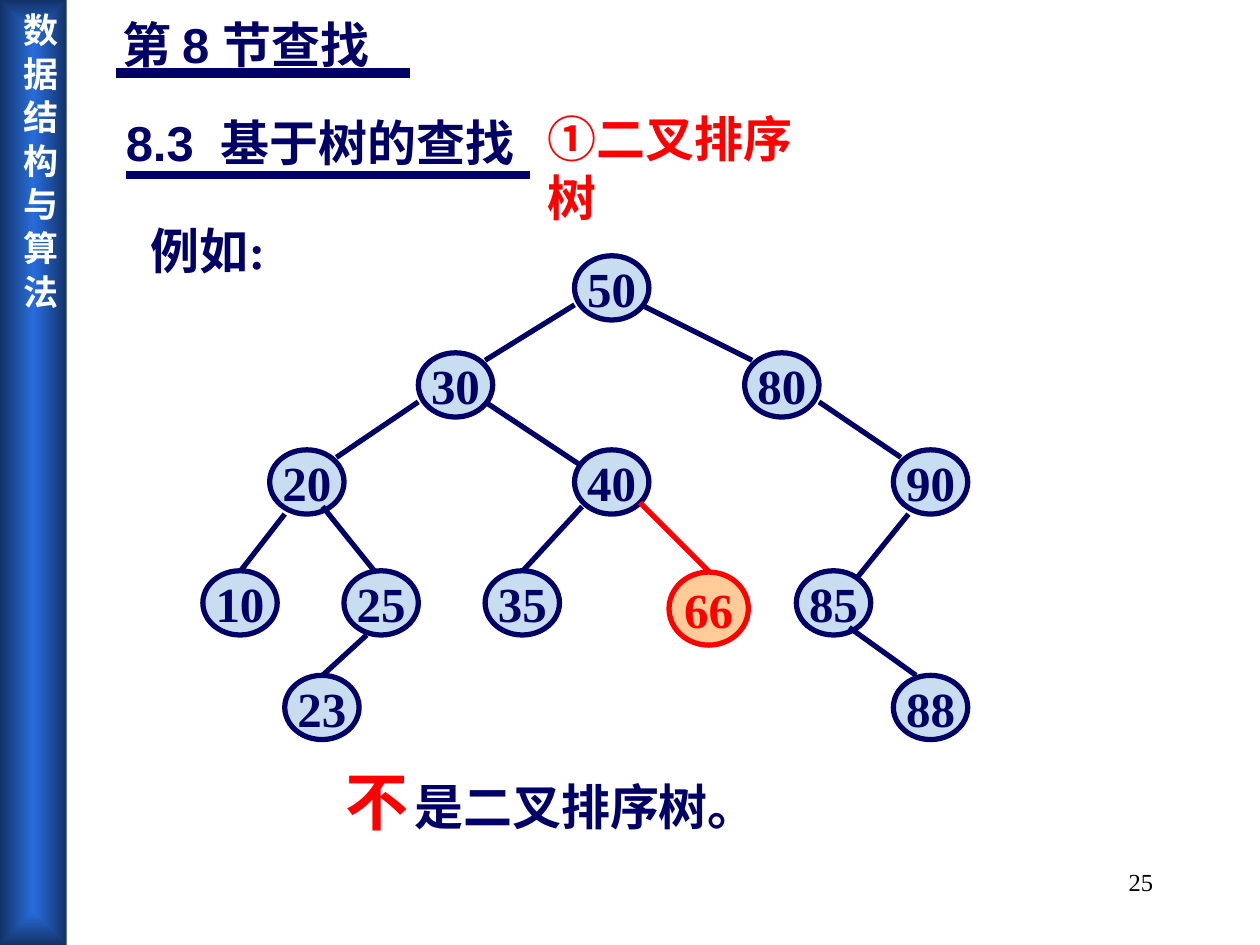
from typing import NamedTuple

from lxml.etree import SubElement
from pptx import Presentation
from pptx.dml.color import RGBColor
from pptx.enum.shapes import MSO_CONNECTOR as Connector, MSO_SHAPE as Shape
from pptx.enum.text import MSO_ANCHOR as Anchor, PP_ALIGN as Align
from pptx.oxml.ns import qn
from pptx.util import Inches, Pt

COLORS = {
    "navy": "000066", "red": "FF0000", "node": "C9DDF1", "peach": "FFCC99",
    "white": "FFFFFF", "black": "000000", "bar": "286DDC", "bar_edge": "133266",
}
SERIF, SANS, CHINESE = "Times New Roman", "Arial", "Noto Sans CJK SC"


class Run(NamedTuple):
    text: str
    font: str = SERIF
    size: float = 28
    color: str = "navy"
    bold: bool = True


class Label(NamedTuple):
    left: float
    top: float
    width: float
    height: float
    runs: list[Run]
    align: Align = Align.LEFT


class Node(NamedTuple):
    key: int
    left: float
    top: float
    width: float = 0.59
    height: float = 0.51
    fill: str = "node"
    ink: str = "navy"


class Line(NamedTuple):
    x1: float
    y1: float
    x2: float
    y2: float
    color: str = "navy"
    weight: float = 3


def rgb(name: str) -> RGBColor:
    return RGBColor.from_string(COLORS[name])


def write(frame, runs: list[Run], align: Align) -> None:
    paragraph = frame.paragraphs[0]
    paragraph.alignment = align
    for item in runs:
        run = paragraph.add_run()
        run.text = item.text
        formats = {"name": item.font, "size": Pt(item.size), "bold": item.bold}
        for attribute, value in formats.items():
            setattr(run.font, attribute, value)
        run.font.color.rgb = rgb(item.color)
        # East Asian glyphs need their own typeface
        SubElement(run.font._element, qn("a:ea"), typeface=CHINESE)


def add_label(slide, label: Label) -> None:
    box = slide.shapes.add_textbox(*map(Inches, label[:4]))
    box.text_frame.word_wrap = True
    write(box.text_frame, label.runs, label.align)


def add_node(slide, node: Node) -> None:
    shape = slide.shapes.add_shape(Shape.OVAL, *map(Inches, node[1:5]))
    shape.shadow.inherit = False
    shape.fill.solid()
    shape.fill.fore_color.rgb = rgb(node.fill)
    shape.line.color.rgb = rgb(node.ink)
    shape.line.width = Pt(3)
    shape.text_frame.word_wrap = False
    shape.text_frame.vertical_anchor = Anchor.MIDDLE
    write(shape.text_frame, [Run(str(node.key), color=node.ink)], Align.CENTER)


def add_line(slide, line: Line) -> None:
    connector = slide.shapes.add_connector(
        Connector.STRAIGHT, *map(Inches, line[:4]))
    connector.line.color.rgb = rgb(line.color)
    connector.line.width = Pt(line.weight)
    SubElement(connector._element.spPr, qn("a:effectLst"))


def add_sidebar(slide) -> None:
    bar = slide.shapes.add_shape(
        Shape.RECTANGLE, 0, 0, Inches(0.53), Inches(7.5))
    bar.shadow.inherit = False
    bar.line.fill.background()
    bar.fill.gradient()
    for stop, color in zip(bar.fill.gradient_stops, ("bar", "bar_edge")):
        stop.color.rgb = rgb(color)
    # Rectangular gradient spreading from the centre
    gradient = bar._element.spPr.find(qn("a:gradFill"))
    gradient.remove(gradient.find(qn("a:lin")))
    shading = SubElement(gradient, qn("a:path"), path="rect")
    SubElement(shading, qn("a:fillToRect"),
               dict.fromkeys("ltrb", "50000"))
    frame = bar.text_frame
    margins = {"margin_left": 0.05, "margin_top": 0.1,
               "margin_right": 0.05, "margin_bottom": 0.1}
    for attribute, value in margins.items():
        setattr(frame, attribute, Inches(value))
    frame.vertical_anchor = Anchor.TOP
    frame._txBody.bodyPr.set("vert", "eaVert")
    write(frame, [Run("数 据 结 构 与 算 法", CHINESE, 20, "white")], Align.CENTER)


LABELS = [
    Label(7.17, 6.83, 2.08, 0.5, [Run("25", SERIF, 14, "black", False)],
          Align.RIGHT),
    Label(0.87, 0.07, 2.55, 0.57, [Run("第 8 节查找", SANS)]),
    Label(0.9, 0.84, 4.57, 0.57,
          [Run("8.3  ", SANS), Run("基于树的查找", CHINESE)]),
    Label(4.25, 0.81, 2.37, 0.57, [Run("①二叉排序树", CHINESE, color="red")]),
    Label(1.1, 1.7, 1.2, 0.57, [Run("例如:")]),
    Label(3.19, 6.11, 3.46, 0.57, [Run("是二叉排序树。")]),
    Label(2.64, 6, 0.7, 0.7, [Run("不", size=36, color="red")]),
]

# Tree levels: top edge, then key and left edge of each node
LEVELS = {
    2.03: {50: 4.56},
    2.8: {30: 3.32, 80: 5.91},
    3.57: {20: 2.14, 40: 4.56, 90: 7.09},
    4.53: {10: 1.61, 25: 2.73, 35: 3.85, 85: 6.32},
    5.36: {23: 2.26, 88: 7.09},
}
NODES = [Node(key, left, top)
         for top, row in LEVELS.items() for key, left in row.items()]
MISPLACED = Node(66, 5.31, 4.54, 0.63, 0.58, "peach", "red")

EDGES = [
    Line(4.56, 2.42, 3.85, 2.86),  # 50-30
    Line(5.09, 2.42, 5.97, 2.86),  # 50-80
    Line(3.32, 3.19, 2.67, 3.63),  # 30-20
    Line(3.85, 3.19, 4.62, 3.7),   # 30-40
    Line(6.5, 3.19, 7.15, 3.63),   # 80-90
    Line(2.26, 4.08, 1.91, 4.53),  # 20-10
    Line(2.56, 4.02, 2.97, 4.53),  # 20-25
    Line(4.62, 4.02, 4.15, 4.53),  # 40-35
    Line(7.21, 4.08, 6.79, 4.6),   # 90-85
    Line(2.91, 5.04, 2.56, 5.36),  # 25-23
    Line(6.74, 4.98, 7.27, 5.36),  # 85-88
    Line(5.08, 3.99, 5.63, 4.54, "red"),  # 40-66
]
UNDERLINES = [
    Line(0.92, 0.58, 3.25, 0.58, weight=6),
    Line(1, 1.39, 4.21, 1.39, weight=4.25),
]


def main() -> None:
    presentation = Presentation()
    presentation.slide_width, presentation.slide_height = Inches(10), Inches(7.5)
    slide = presentation.slides.add_slide(presentation.slide_layouts[6])

    add_sidebar(slide)
    # Headings and captions
    for label in LABELS:
        add_label(slide, label)
    # Tree, with edges over the nodes
    for node in NODES:
        add_node(slide, node)
    for line in EDGES + UNDERLINES:
        add_line(slide, line)
    add_node(slide, MISPLACED)

    presentation.save("out.pptx")


if __name__ == "__main__":
    main()
